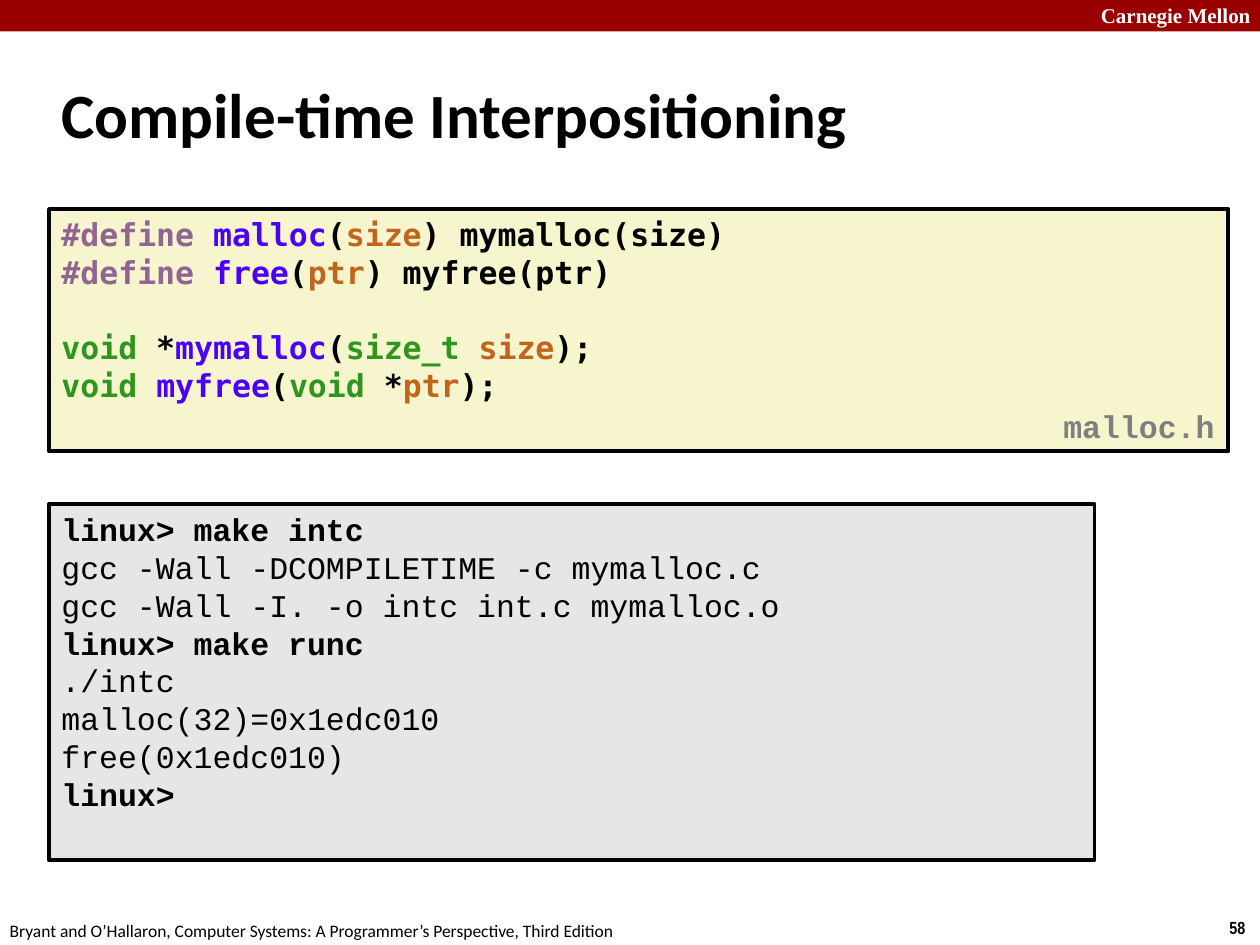
from dataclasses import dataclass

from pptx import Presentation
from pptx.dml.color import RGBColor as RGB
from pptx.enum.shapes import MSO_SHAPE as Shape
from pptx.enum.text import MSO_ANCHOR as Anchor, PP_ALIGN as Align
from pptx.util import Pt


@dataclass(frozen=True)
class Theme:
    """Colours, fonts and type sizes of the slide."""
    banner: str = "990000"
    white: str = "FFFFFF"
    ink: str = "000000"
    label: str = "7F7F7F"
    code_fill: str = "F7F5CD"
    shell_fill: str = "E6E6E6"
    directive: str = "926492"
    function: str = "4A00FF"
    variable: str = "C1651C"
    type: str = "2D961E"
    sans: str = "Calibri"
    narrow: str = "Arial Narrow"
    serif: str = "Times New Roman"
    code: str = "DejaVu Sans Mono"
    mono: str = "Courier New"
    title_size: int = 36
    code_size: int = 18
    banner_size: int = 12
    footer_size: int = 10
    code_gap: float = 21.5


THEME = Theme()

HEADER_CODE = [
    [("#define ", THEME.directive), ("malloc", THEME.function), ("(", THEME.ink),
     ("size", THEME.variable), (") mymalloc(size)", THEME.ink)],
    [("#define ", THEME.directive), ("free", THEME.function), ("(", THEME.ink),
     ("ptr", THEME.variable), (") myfree(ptr)", THEME.ink)],
    [("void", THEME.type), (" *", THEME.ink), ("mymalloc", THEME.function), ("(", THEME.ink),
     ("size_t ", THEME.type), ("size", THEME.variable), (");", THEME.ink)],
    [("void ", THEME.type), ("myfree", THEME.function), ("(", THEME.ink),
     ("void", THEME.type), (" *", THEME.ink), ("ptr", THEME.variable), (");", THEME.ink)],
]
FIRST_PROTOTYPE = 2

PROMPT = "linux>"
SESSION = [
    "linux> make intc",
    "gcc -Wall -DCOMPILETIME -c mymalloc.c",
    "gcc -Wall -I. -o intc int.c mymalloc.o",
    "linux> make runc",
    "./intc",
    "malloc(32)=0x1edc010",
    "free(0x1edc010)",
    "linux>",
]


def set_font(paragraph, family, size, bold=False, color=None):
    """Set the font of a whole paragraph."""
    font = paragraph.font
    font.name, font.size, font.bold = family, Pt(size), bold
    if color:
        font.color.rgb = RGB.from_string(color)


def add_panel(slide, box, fill, outlined=True):
    """Add a filled rectangle and return its top-anchored text frame."""
    panel = slide.shapes.add_shape(Shape.RECTANGLE, *map(Pt, box))
    panel.shadow.inherit = False
    panel.fill.solid()
    panel.fill.fore_color.rgb = RGB.from_string(fill)
    if outlined:
        panel.line.color.rgb = RGB.from_string(THEME.ink)
        panel.line.width = Pt(2.25)
    else:
        panel.line.fill.background()
    frame = panel.text_frame
    frame.word_wrap = True
    frame.vertical_anchor = Anchor.TOP
    return frame


def add_label(slide, box, text, family, size, bold=True, color=THEME.ink,
              anchor=Anchor.TOP, wrap=False):
    """Add a single line of text in a box."""
    frame = slide.shapes.add_textbox(*map(Pt, box)).text_frame
    frame.word_wrap = wrap
    frame.vertical_anchor = anchor
    line = frame.paragraphs[0]
    line.text = text
    line.alignment = Align.LEFT
    set_font(line, family, size, bold, color)


def add_lines(frame, count):
    """Return the given number of left-aligned paragraphs of a frame."""
    lines = [frame.paragraphs[0]] + [frame.add_paragraph() for _ in range(count - 1)]
    for line in lines:
        line.alignment = Align.LEFT
    return lines


def add_banner(slide, box):
    """Add the top band with the university name at its right end."""
    left, top, width, height = box
    add_panel(slide, box, THEME.banner, outlined=False)
    add_label(slide, (left + width - 98, top - 2, 103, height + 3.5), "Carnegie Mellon",
              THEME.serif, THEME.banner_size, color=THEME.white, wrap=True)


def add_footer(slide, box):
    """Add the book reference and the page number."""
    left, top, width, height = box
    add_label(slide, (left + width - 24.5, top - 1.5, 24.5, height), "58",
              THEME.narrow, THEME.footer_size)
    add_label(slide, (left - 1.5, top, 366, height),
              "Bryant and O’Hallaron, Computer Systems: A Programmer’s Perspective, Third Edition",
              THEME.sans, THEME.footer_size, bold=False)


def add_header_file(slide, box):
    """Add the coloured header listing with its file name in the corner."""
    left, top, width, height = box
    lines = add_lines(add_panel(slide, box, THEME.code_fill), len(HEADER_CODE))
    for line, tokens in zip(lines, HEADER_CODE):
        set_font(line, THEME.code, THEME.code_size, bold=True)
        for text, color in tokens:
            token = line.add_run()
            token.text = text
            token.font.color.rgb = RGB.from_string(color)
    lines[FIRST_PROTOTYPE].space_before = Pt(THEME.code_gap)
    add_label(slide, (left + width - 101.5, top + height - 29, 101.5, 29), "malloc.h",
              THEME.mono, THEME.code_size, color=THEME.label)


def add_session(slide, box):
    """Add the shell session with its prompt lines in bold."""
    lines = add_lines(add_panel(slide, box, THEME.shell_fill), len(SESSION))
    for line, text in zip(lines, SESSION):
        line.text = text
        set_font(line, THEME.mono, THEME.code_size, text.startswith(PROMPT), THEME.ink)


def main():
    """Build the slide and save it."""
    deck = Presentation()
    deck.slide_width, deck.slide_height = Pt(720), Pt(540)
    slide = deck.slides.add_slide(deck.slide_layouts[6])
    add_banner(slide, (0, 0, 720, 18))
    add_footer(slide, (0, 522, 720, 19.5))
    add_label(slide, (28, 34.5, 597.5, 60), "Compile-time Interpositioning",
              THEME.sans, THEME.title_size, anchor=Anchor.MIDDLE, wrap=True)
    add_header_file(slide, (28, 119.5, 674, 138.5))
    add_session(slide, (28, 288, 597.5, 203.5))
    deck.save("out.pptx")


if __name__ == "__main__":
    main()
